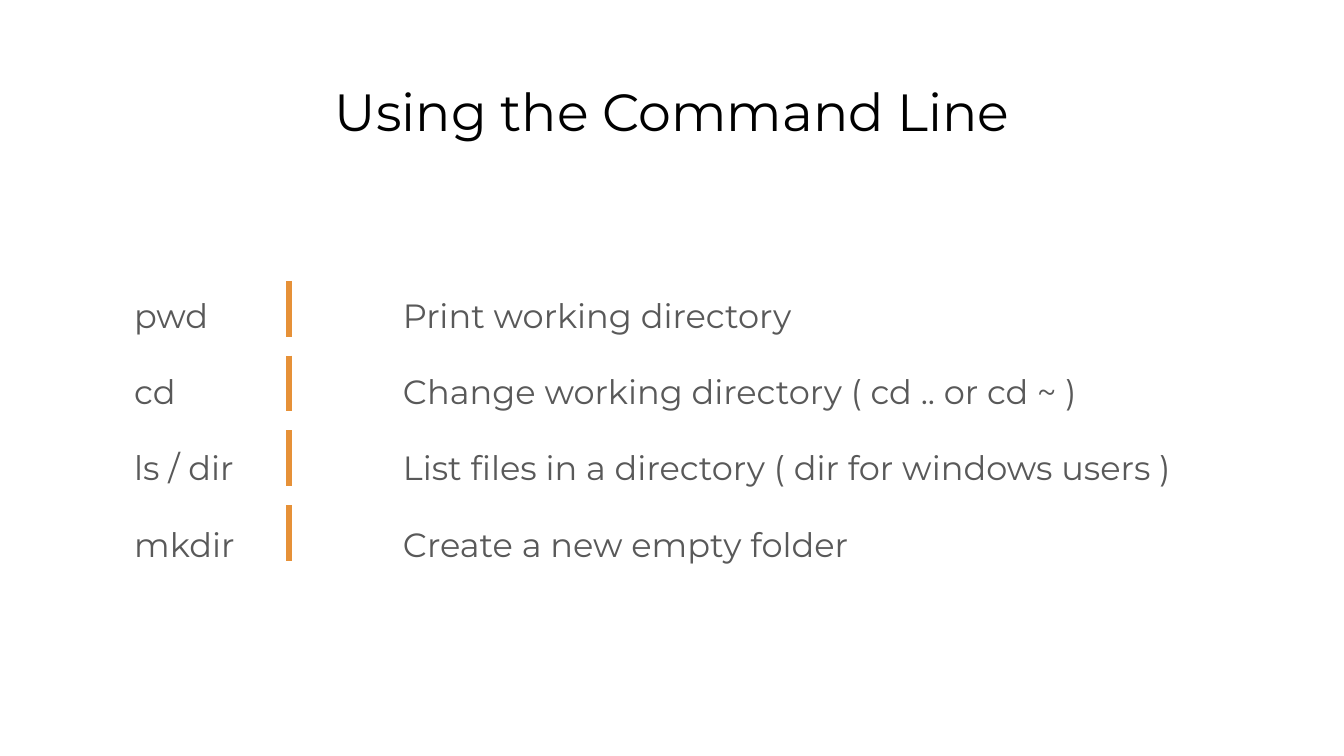
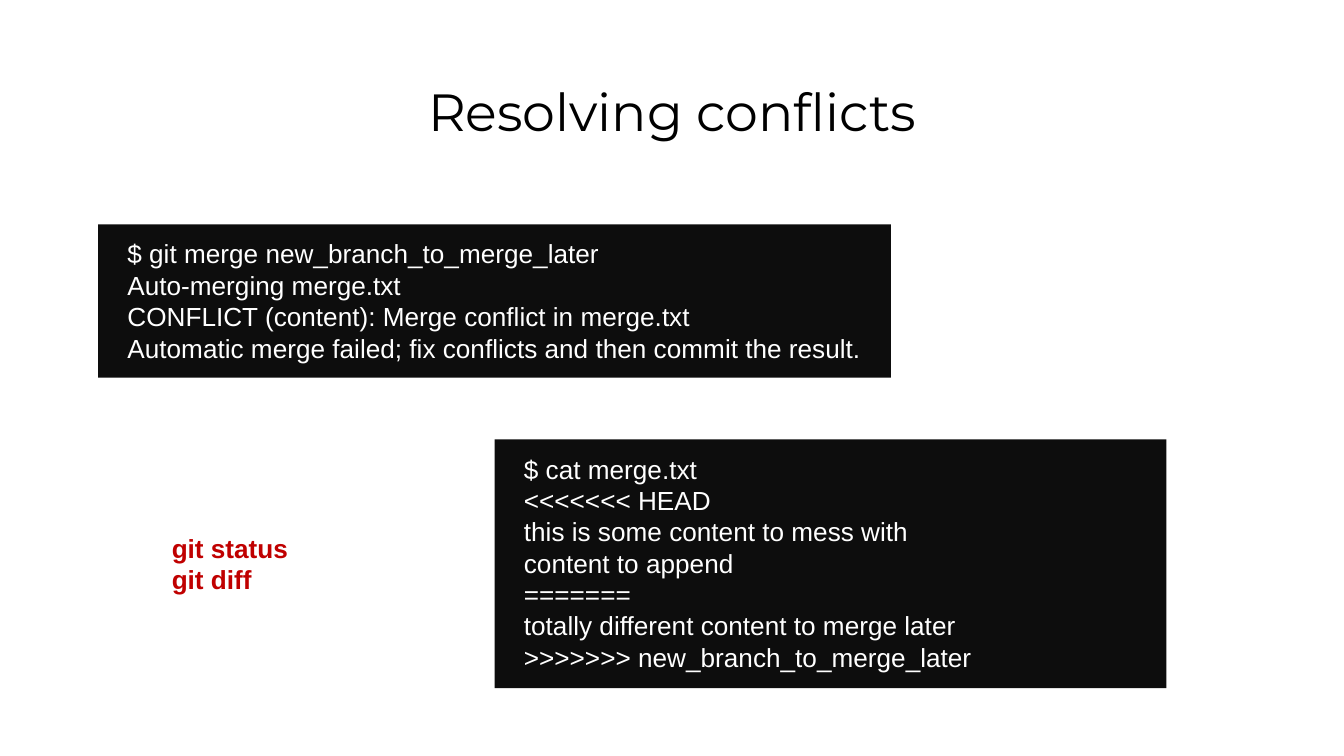
import lxml.etree
import pptx
import pptx.dml.color
import pptx.enum.shapes
import pptx.enum.text
import pptx.oxml.ns
import pptx.util

COLUMNS, ROWS = 100, 56.25
ALIGN = pptx.enum.text.PP_ALIGN
GROW = pptx.enum.text.MSO_AUTO_SIZE.SHAPE_TO_FIT_TEXT

TITLE_FONT = {"name": "Montserrat", "size": pptx.util.Pt(28), "color": "000000"}
BODY_FONT = {"name": "Montserrat", "size": pptx.util.Pt(18), "color": "595959"}
CODE_FONT = {"name": "Arial", "size": pptx.util.Pt(14), "color": "FFFFFF"}
HINT_FONT = {**CODE_FONT, "color": "C00000", "bold": True}
ACCENT = "E69138"
TERMINAL = "0D0D0D"

COMMANDS = [
    ("pwd", "Print working directory"),
    ("cd", "Change working directory ( cd .. or cd ~ )"),
    ("ls / dir", "List files in a directory ( dir for windows users )"),
    ("mkdir", "Create a new empty folder"),
]
MERGE_OUTPUT = [
    "$ git merge new_branch_to_merge_later",
    "Auto-merging merge.txt",
    "CONFLICT (content): Merge conflict in merge.txt",
    "Automatic merge failed; fix conflicts and then commit the result.",
]
CONFLICT_FILE = [
    "$ cat merge.txt",
    "<<<<<<< HEAD",
    "this is some content to mess with",
    "content to append",
    "=======",
    "totally different content to merge later",
    ">>>>>>> new_branch_to_merge_later",
]


def rgb(value):
    return pptx.dml.color.RGBColor.from_string(value)


def apply(target, formats):
    for name, value in formats.items():
        if name == "color":
            target.color.rgb = rgb(value)
        else:
            setattr(target, name, value)


class Deck:
    def __init__(self):
        self.show = pptx.Presentation()
        self.show.slide_width = pptx.util.Inches(10)
        self.show.slide_height = self.show.slide_width * 9 // 16
        self.slide = None

    def x(self, columns):
        return round(self.show.slide_width * columns / COLUMNS)

    def y(self, rows):
        return round(self.show.slide_height * rows / ROWS)

    def area(self, left, top, width, height):
        return self.x(left), self.y(top), self.x(width), self.y(height)

    def new_slide(self, title):
        self.slide = self.show.slides.add_slide(self.show.slide_layouts[6])
        self.text((3.4, 4.9, 93.2, 6.3), [title], TITLE_FONT, {"alignment": ALIGN.CENTER})

    def fill_lines(self, frame, lines, font, layout, indent=0, tab=0):
        for index, line in enumerate(lines):
            paragraph = frame.paragraphs[0] if index == 0 else frame.add_paragraph()
            paragraph.text = line
            apply(paragraph, layout)
            if index == 0:
                paragraph.space_before = pptx.util.Pt(0)
            properties = paragraph._p.get_or_add_pPr()
            if indent:
                properties.set("marL", str(self.x(indent)))
                properties.set("indent", "0")
            if tab:
                stops = lxml.etree.SubElement(properties, pptx.oxml.ns.qn("a:tabLst"))
                lxml.etree.SubElement(stops, pptx.oxml.ns.qn("a:tab"), pos=str(self.x(tab)), algn="l")
            apply(paragraph.font, font)

    def frame(self, shape, wrap=True, inset=1, **formats):
        margin = self.y(inset)
        apply(shape.text_frame, {
            "word_wrap": wrap, "margin_top": margin, "margin_bottom": margin,
            "vertical_anchor": pptx.enum.text.MSO_ANCHOR.TOP, **formats,
        })
        return shape.text_frame

    def text(self, place, lines, font, layout, tab=0, **formats):
        box = self.slide.shapes.add_textbox(*self.area(*place))
        self.fill_lines(self.frame(box, **formats), lines, font, layout, tab=tab)

    def terminal(self, place, lines):
        panel = self.slide.shapes.add_shape(
            pptx.enum.shapes.MSO_SHAPE.RECTANGLE, *self.area(*place))
        panel.shadow.inherit = False
        panel.fill.solid()
        panel.fill.fore_color.rgb = rgb(TERMINAL)
        panel.line.fill.background()
        self.fill_lines(self.frame(panel, auto_size=GROW), lines, CODE_FONT,
                        {"alignment": ALIGN.LEFT}, indent=1.2)

    def divider(self, column, top, length):
        bar = self.slide.shapes.add_connector(
            pptx.enum.shapes.MSO_CONNECTOR.STRAIGHT,
            self.x(column), self.y(top), self.x(column), self.y(top + length))
        apply(bar.line, {"color": ACCENT, "width": pptx.util.Pt(3)})
        lxml.etree.SubElement(bar._element.spPr, pptx.oxml.ns.qn("a:effectLst"))


def command_line(deck):
    deck.new_slide("Using the Command Line")
    deck.text((9, 20.5, 83.8, 25.5), ["\t".join(row) for row in COMMANDS], BODY_FONT,
              {"line_spacing": 1.15, "space_before": pptx.util.Pt(16)}, tab=20)
    for row in range(len(COMMANDS)):
        deck.divider(21.5, 20.9 + 5.56 * row, 4.15)


def resolving_conflicts(deck):
    deck.new_slide("Resolving conflicts")
    deck.terminal((7.3, 16.7, 59, 11.4), MERGE_OUTPUT)
    deck.terminal((36.8, 32.7, 50, 18.5), CONFLICT_FILE)
    deck.text((11.8, 39.1, 10.7, 5.7), ["git status", "git diff"], HINT_FONT, {},
              wrap=False, inset=0.5, auto_size=GROW)


def main():
    deck = Deck()
    command_line(deck)
    resolving_conflicts(deck)
    deck.show.save("out.pptx")


if __name__ == "__main__":
    main()
